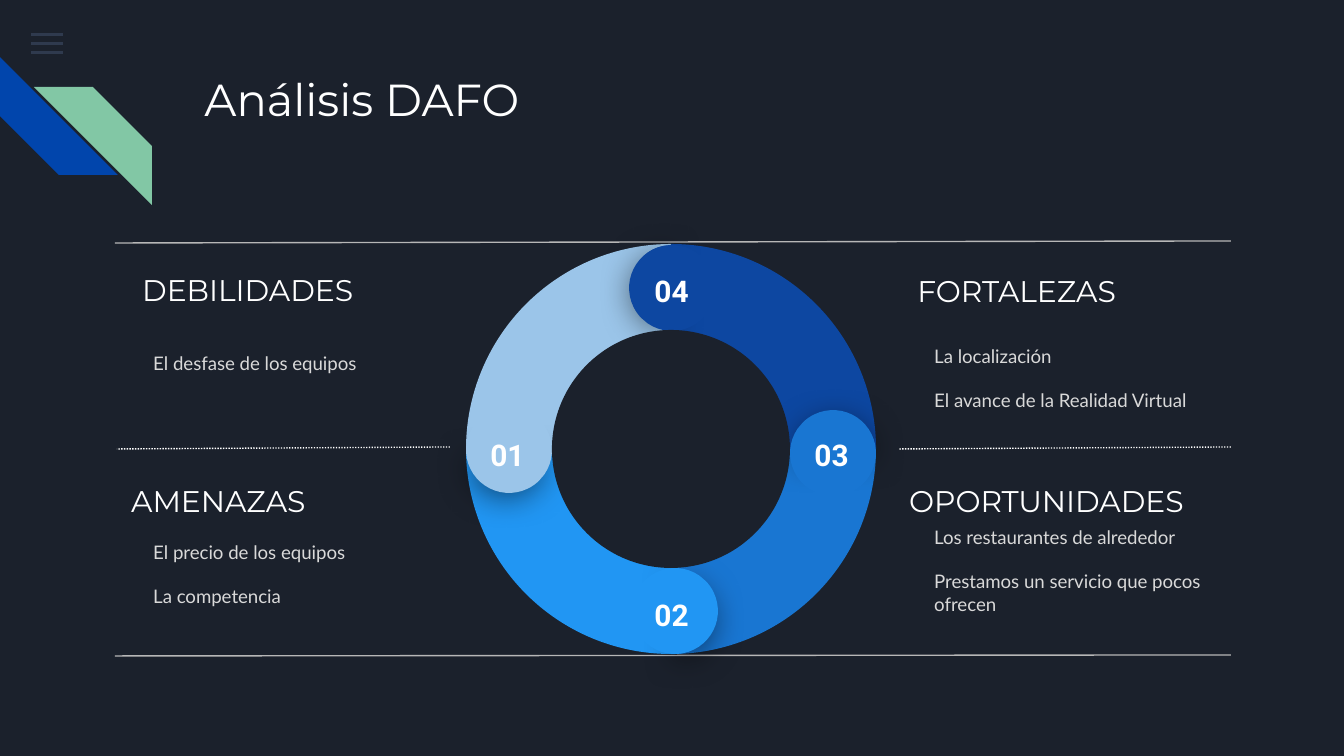
from lxml.etree import SubElement
from pptx import Presentation
from pptx.dml.color import RGBColor
from pptx.enum.dml import MSO_LINE_DASH_STYLE as Dash
from pptx.enum.shapes import MSO_CONNECTOR as Connector, MSO_SHAPE as Shape
from pptx.enum.text import MSO_ANCHOR as Anchor, MSO_AUTO_SIZE as AutoSize, PP_ALIGN as Align
from pptx.oxml.ns import qn
from pptx.util import Emu, Pt

EMU_PER_PX = 914400 / 134.4
ADJUST_PER_DEGREE = 0.6

NIGHT = RGBColor(0x1B, 0x21, 0x2C)
SLATE = RGBColor(0x55, 0x68, 0x8B)
ROYAL = RGBColor(0x01, 0x45, 0xAC)
MINT = RGBColor(0x82, 0xC7, 0xA5)
WHITE = RGBColor(0xFF, 0xFF, 0xFF)
LIGHT_GRAY = RGBColor(0xD9, 0xD9, 0xD9)
RULE_GRAY = RGBColor(0xB7, 0xB7, 0xB7)
PALE_BLUE = RGBColor(0x9B, 0xC5, 0xE9)
NAVY = RGBColor(0x0D, 0x47, 0xA1)
MID_BLUE = RGBColor(0x19, 0x76, 0xD2)
SKY_BLUE = RGBColor(0x21, 0x96, 0xF3)

RING_CENTER = (671, 449)
RING_SIZE, HOLE_SIZE, CAP_SIZE, CAP_SHADE_SIZE = 410, 238, 86, 77

QUADRANTS = [
    ("DEBILIDADES", (129, 257, 335, 66), (140, 335, 293, 102), 1.15,
     ["El desfase de los equipos"]),
    ("FORTALEZAS", (904, 258, 335, 66), (921, 331, 293, 102), 1,
     ["La localización", "El avance de la Realidad Virtual"]),
    ("AMENAZAS", (118, 468, 328, 66), (140, 527, 293, 102), 1,
     ["El precio de los equipos", "La competencia"]),
    ("OPORTUNIDADES", (896, 468, 308, 66), (921, 512, 335, 102), 1,
     ["Los restaurantes de alrededor", "Prestamos un servicio que pocos ofrecen"]),
]
RULES = [
    ((1231, 241), (115, 243), RULE_GRAY, None),
    ((450, 447), (117, 449), WHITE, Dash.ROUND_DOT),
    ((1231, 447), (899, 449), WHITE, Dash.ROUND_DOT),
    ((1231, 655), (115, 656), RULE_GRAY, None),
]
CAPS = [
    ("01", PALE_BLUE, 0, (509, 450), (506, 451), (470, 423)),
    ("02", SKY_BLUE, 270, (675, 611), (675, 613), (634, 583)),
    ("03", MID_BLUE, 180, (833, 453), (835, 451), (794, 423)),
    ("04", NAVY, 90, (672, 288), (670, 284), (634, 259)),
]


def px(length):
    """Turn px into EMU."""
    return Emu(round(length * EMU_PER_PX))


def add_flat(slide, kind, box, color, rotation=0, angles=()):
    """Add a filled preset shape without outline or shadow."""
    shape = slide.shapes.add_shape(kind, *map(px, box))
    shape.fill.solid()
    shape.fill.fore_color.rgb = color
    shape.line.fill.background()
    shape.shadow.inherit = False
    shape.rotation = rotation
    for index, angle in enumerate(angles):
        shape.adjustments[index] = angle * ADJUST_PER_DEGREE
    return shape


def add_round(slide, kind, center, size, color, rotation=0, angles=()):
    """Add a flat shape of equal sides around a center."""
    box = (center[0] - size / 2, center[1] - size / 2, size, size)
    return add_flat(slide, kind, box, color, rotation, angles)


def set_alpha(color_element, percent):
    """Make a colour element partly transparent."""
    SubElement(color_element, qn("a:alpha")).set("val", str(percent * 1000))


def add_soft_shadow(shape):
    """Give a shape a blurred black shadow below it."""
    effects = shape._element.spPr.find(qn("a:effectLst"))
    shadow = SubElement(effects, qn("a:outerShdw"), blurRad=str(Pt(18)), dist=str(Pt(4)),
                        dir="5400000", algn="bl", rotWithShape="0")
    black = SubElement(shadow, qn("a:srgbClr"), val="000000")
    set_alpha(black, 55)


def style_text(paragraph, font_name, size, color, bold=False):
    """Set the font of a whole paragraph."""
    font = paragraph.font
    font.name, font.size, font.bold = font_name, Pt(size), bold
    font.color.rgb = color


def fill_frame(frame, lines, anchor, font_name, size, color, bold=False):
    """Write styled paragraphs into a text frame with equal insets."""
    frame.word_wrap = True
    frame.auto_size = AutoSize.NONE
    frame.vertical_anchor = anchor
    frame.margin_left = frame.margin_right = Pt(7.2)
    frame.margin_top = frame.margin_bottom = Pt(7.2)
    frame.text = "\n".join(lines)
    for paragraph in frame.paragraphs:
        paragraph.alignment = Align.LEFT
        style_text(paragraph, font_name, size, color, bold)
    return frame.paragraphs


def add_text(slide, box, lines, anchor, font_name, size, color, bold=False):
    """Add a text box and return its paragraphs."""
    frame = slide.shapes.add_textbox(*map(px, box)).text_frame
    return fill_frame(frame, lines, anchor, font_name, size, color, bold)


def add_title(slide, text):
    """Place and format the title placeholder."""
    title = slide.shapes.title
    title.left, title.top, title.width, title.height = map(px, (191, 58, 1035, 134))
    fill_frame(title.text_frame, [text], Anchor.TOP, "Montserrat", 24, WHITE)


def add_corner(slide):
    """Add the menu bars and the two diagonal stripes."""
    for row in range(3):
        bar = add_flat(slide, Shape.RECTANGLE, (31, 33 + 9 * row, 32, 3), SLATE)
        set_alpha(bar._element.spPr.find(".//" + qn("a:srgbClr")), 36)
    add_flat(slide, Shape.DIAGONAL_STRIPE, (0, 57, 118, 118), ROYAL, 270)
    mint_stripe = add_flat(slide, Shape.DIAGONAL_STRIPE, (34, 87, 118, 118), MINT)
    mint_stripe._element.spPr.find(qn("a:xfrm")).set("flipH", "1")


def add_quadrant(slide, heading, heading_box, body_box, spacing, points):
    """Add one heading with its points."""
    add_text(slide, heading_box, [heading], Anchor.MIDDLE, "Montserrat", 16, WHITE)
    paragraphs = add_text(slide, body_box, points, Anchor.TOP, "Lato", 10, LIGHT_GRAY)
    for paragraph in paragraphs:
        paragraph.line_spacing = spacing
    for paragraph in paragraphs[1:]:
        paragraph.space_before = Pt(12)


def add_rule(slide, start, end, color, dash):
    """Add a thin separator line."""
    rule = slide.shapes.add_connector(Connector.STRAIGHT, *map(px, start + end))
    rule.line.color.rgb = color
    rule.line.width = Pt(0.75)
    if dash:
        rule.line.dash_style = dash
    SubElement(rule._element.spPr, qn("a:effectLst"))


def add_cap(slide, number, color, turn, center, shade_center, number_corner):
    """Add a rounded, shaded ring end with its number."""
    shade = add_round(slide, Shape.PIE, shade_center, CAP_SHADE_SIZE, color,
                      turn + 39.5, (315.9, 139.7))
    add_soft_shadow(shade)
    add_round(slide, Shape.CHORD, center, CAP_SIZE, color, turn + 4.1, (41.7, 30.2))
    label, = add_text(slide, number_corner + (75, 39), [number], Anchor.TOP,
                      "Roboto", 16, WHITE, True)
    label.alignment = Align.CENTER


def add_ring(slide):
    """Add the four quarters, their caps and the hole."""
    for quarter, color in enumerate((PALE_BLUE, NAVY, MID_BLUE, SKY_BLUE)):
        add_round(slide, Shape.PIE, RING_CENTER, RING_SIZE, color, 90 * quarter, (180, 270))
    for cap in CAPS:
        add_cap(slide, *cap)
    add_round(slide, Shape.OVAL, RING_CENTER, HOLE_SIZE, NIGHT)


def main():
    """Build and save the slide."""
    deck = Presentation()
    deck.slide_width, deck.slide_height = px(1344), px(756)
    slide = deck.slides.add_slide(deck.slide_layouts[5])
    slide.background.fill.solid()
    slide.background.fill.fore_color.rgb = NIGHT
    add_corner(slide)
    add_title(slide, "Análisis DAFO")
    for quadrant in QUADRANTS:
        add_quadrant(slide, *quadrant)
    for rule in RULES:
        add_rule(slide, *rule)
    add_ring(slide)
    deck.save("out.pptx")


if __name__ == "__main__":
    main()
